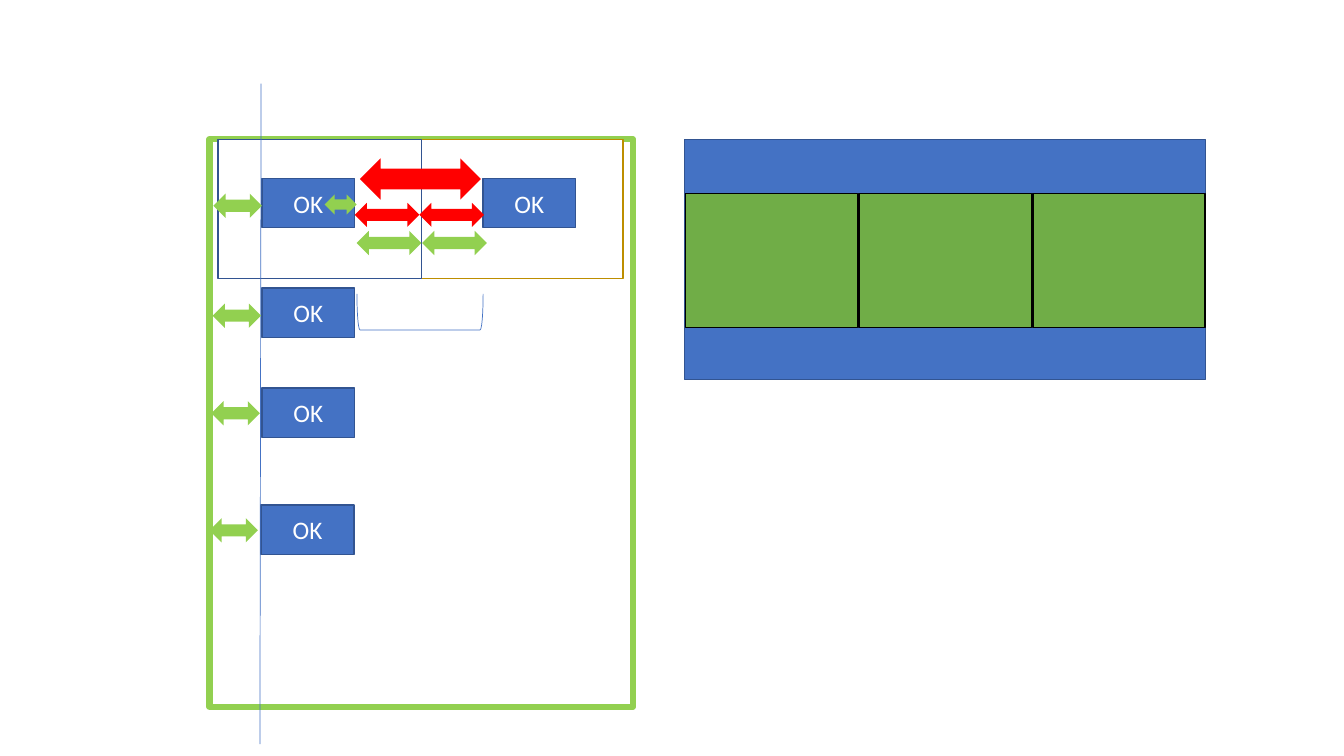
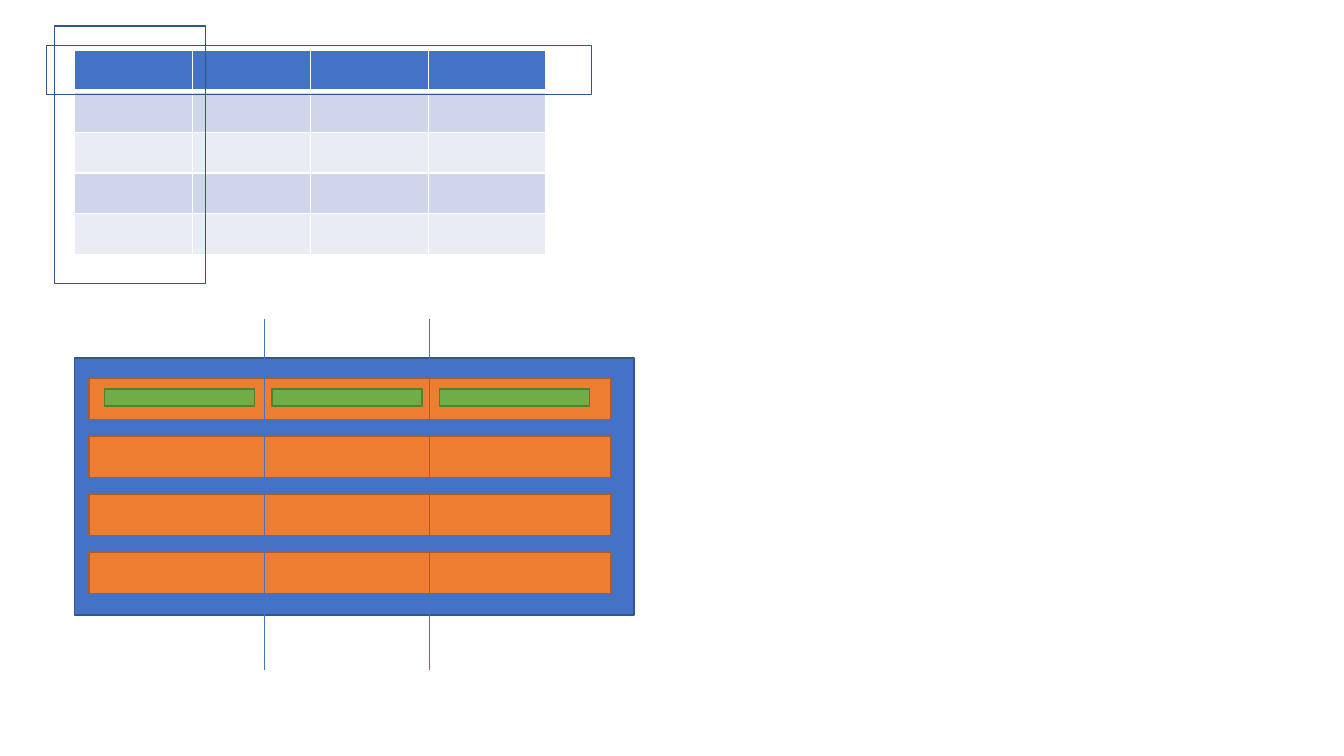
from lxml import etree
from pptx import Presentation
from pptx.dml.color import RGBColor
from pptx.enum.shapes import MSO_CONNECTOR, MSO_SHAPE
from pptx.enum.text import MSO_ANCHOR, PP_ALIGN
from pptx.oxml import parse_xml
from pptx.oxml.ns import nsdecls, qn
from pptx.util import Cm, Pt

RECTANGLE = MSO_SHAPE.RECTANGLE
ARROW = MSO_SHAPE.LEFT_RIGHT_ARROW
BRACKET = MSO_SHAPE.RIGHT_BRACKET
STRAIGHT = MSO_CONNECTOR.STRAIGHT
MIDDLE = MSO_ANCHOR.MIDDLE
CENTER = PP_ALIGN.CENTER

FONT = "Calibri"
WHITE = "FFFFFF"
BLACK = "000000"
RED = "FF0000"
LIME = "92D050"
BLUE = "4472C4"
NAVY = "325491"
GREEN = "70AD47"
DARK_GREEN = "538035"
ORANGE = "ED7D31"
BROWN = "AF5C24"
GOLD = "BD8E00"


def add_box(slide, left, top, width, height, text="", kind=RECTANGLE,
            fill=None, line=None, weight=1, rotation=0, size=18, color=WHITE):
    shape = slide.shapes.add_shape(kind, Cm(left), Cm(top), Cm(width), Cm(height))
    shape.shadow.inherit = False
    shape.rotation = rotation
    if fill:
        shape.fill.solid()
        shape.fill.fore_color.rgb = RGBColor.from_string(fill)
    else:
        shape.fill.background()
    if line:
        shape.line.color.rgb = RGBColor.from_string(line)
        shape.line.width = Pt(weight)
    else:
        shape.line.fill.background()
    if text:
        shape.text_frame.vertical_anchor = MIDDLE
        paragraph = shape.text_frame.paragraphs[0]
        paragraph.alignment = CENTER
        run = paragraph.add_run()
        run.text = text
        run.font.name = FONT
        run.font.size = Pt(size)
        run.font.color.rgb = RGBColor.from_string(color)


def add_guide(slide, start_x, start_y, end_x, end_y):
    guide = slide.shapes.add_connector(
        STRAIGHT, Cm(start_x), Cm(start_y), Cm(end_x), Cm(end_y))
    guide.line.color.rgb = RGBColor.from_string(BLUE)
    guide.line.width = Pt(0.5)
    etree.SubElement(guide._element.spPr, qn("a:effectLst"))


presentation = Presentation()
presentation.slide_width = Cm(33.87)
presentation.slide_height = Cm(19.05)
blank = presentation.slide_layouts[6]

slide = presentation.slides.add_slide(blank)
add_box(slide, 5.28, 3.51, 10.67, 14.3, fill=WHITE, line=LIME, weight=4.5)
for left, outline in [(10.57, GOLD), (5.49, NAVY)]:
    add_box(slide, left, 3.51, 5.13, 3.51, fill=WHITE, line=outline)

for left, top in [(6.6, 4.5), (12.17, 4.5), (6.6, 7.26), (6.6, 9.78), (6.58, 12.73)]:
    add_box(slide, left, top, 2.34, 1.24, "OK", fill=BLUE, line=NAVY)

gap_arrows = [
    (9.07, 3.99, 3.05, 1.04, RED),
    (8.18, 4.9, 0.81, 0.51, LIME),
    (8.94, 5.11, 1.63, 0.61, RED),
    (10.57, 5.11, 1.63, 0.61, RED),
    (8.99, 5.82, 1.63, 0.61, LIME),
    (10.64, 5.82, 1.63, 0.61, LIME),
]
for left, top, width, height, fill in gap_arrows:
    add_box(slide, left, top, width, height, kind=ARROW, fill=fill)

add_box(slide, 10.13, 6.27, 0.91, 3.18, kind=BRACKET, line=BLUE, weight=0.5, rotation=90)
add_guide(slide, 6.58, 2.11, 6.55, 18.75)
for left, top in [(5.36, 7.65), (5.33, 10.11), (5.28, 13.06), (5.38, 4.88)]:
    add_box(slide, left, top, 1.22, 0.61, kind=ARROW, fill=LIME)

add_box(slide, 17.25, 3.51, 13.13, 6.05, fill=BLUE, line=NAVY)
for column in range(3):
    add_box(slide, 17.27 + 4.38 * column, 4.88, 4.34, 3.38, fill=GREEN, line=BLACK)

slide = presentation.slides.add_slide(blank)
table = slide.shapes.add_table(5, 4, Cm(1.88), Cm(1.27), Cm(11.88), Cm(5.1)).table
for column in table.columns:
    column.width = Cm(2.97)
row_fills = [BLUE, "CFD5EA", "E9EBF5", "CFD5EA", "E9EBF5"]
for row_index, (row, fill) in enumerate(zip(table.rows, row_fills)):
    row.height = Cm(1.02)
    for cell in row.cells:
        cell.fill.solid()
        cell.fill.fore_color.rgb = RGBColor.from_string(fill)
        top_weight = 3 if row_index == 1 else 1
        bottom_weight = 3 if row_index == 0 else 1
        sides = [("L", 1), ("R", 1), ("T", top_weight), ("B", bottom_weight)]
        for position, (side, weight) in enumerate(sides):
            border = parse_xml(
                f'<a:ln{side} {nsdecls("a")} w="{Pt(weight)}"><a:solidFill>'
                f'<a:srgbClr val="{WHITE}"/></a:solidFill></a:ln{side}>')
            cell._tc.get_or_add_tcPr().insert(position, border)

add_box(slide, 1.37, 0.66, 3.81, 6.48, line=NAVY)
add_box(slide, 1.17, 1.14, 13.74, 1.24, line=NAVY)

add_box(slide, 1.88, 9.02, 14.1, 6.48, fill=BLUE, line=NAVY)
for row_index in range(4):
    add_box(slide, 2.24, 9.53 + 1.46 * row_index, 13.16, 1.04, fill=ORANGE, line=BROWN)
for column in range(3):
    add_box(slide, 2.64 + 4.22 * column, 9.8, 3.78, 0.43, fill=GREEN, line=DARK_GREEN)
for guide_x in (6.65, 10.82):
    add_guide(slide, guide_x, 8.03, guide_x, 16.89)

presentation.save("out.pptx")
